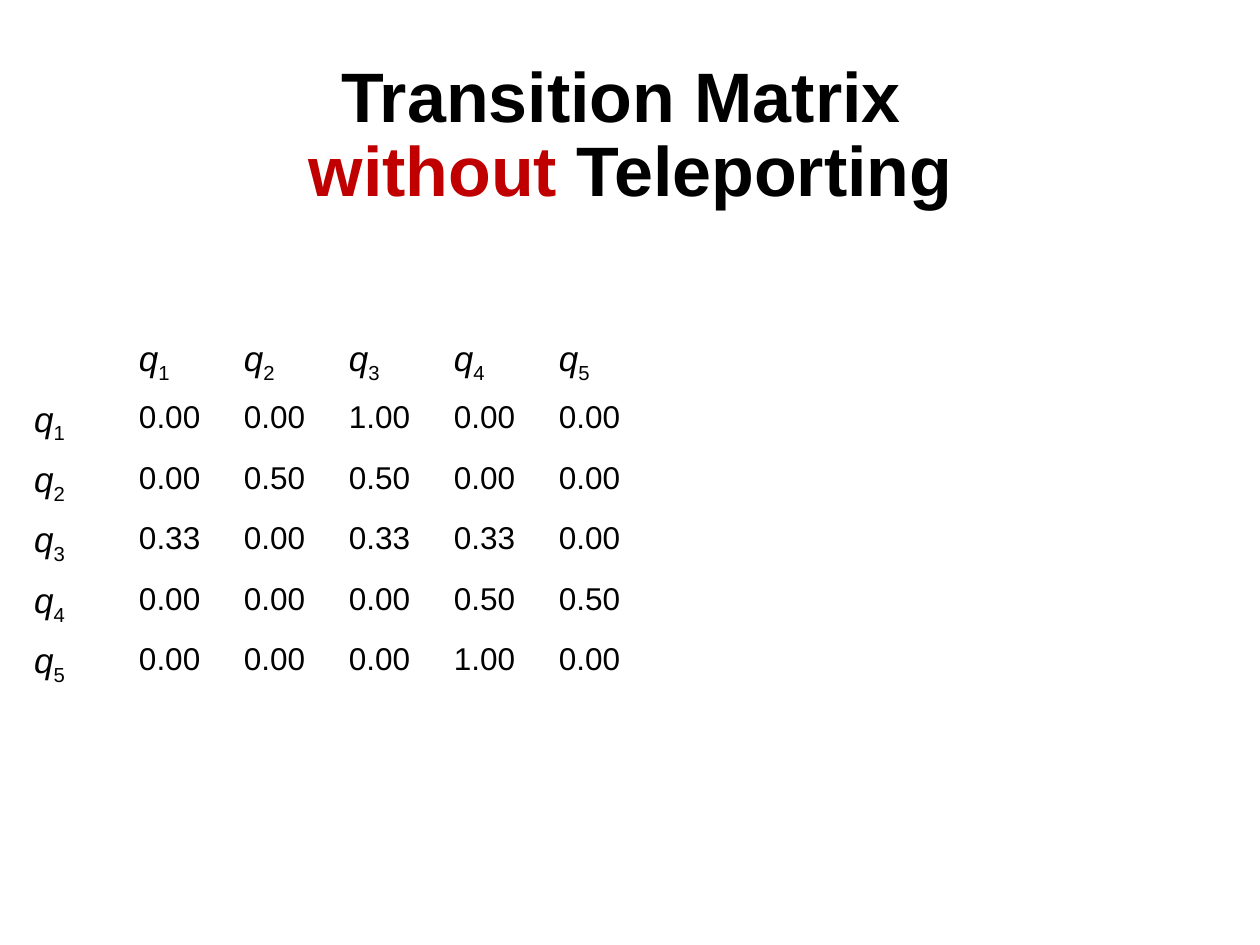
from lxml.etree import SubElement
from pptx import Presentation
from pptx.dml.color import RGBColor
from pptx.enum.text import MSO_ANCHOR, PP_ALIGN
from pptx.oxml.ns import qn
from pptx.util import Inches, Pt

BLACK = RGBColor(0x00, 0x00, 0x00)
RED = RGBColor(0xC0, 0x00, 0x00)
WHITE = RGBColor(0xFF, 0xFF, 0xFF)
PLAIN_TABLE = "{2D5ABB26-0587-4C30-8999-92F81FD0307C}"

TRANSITIONS = [
    [0, 0, 1, 0, 0],
    [0, 0.5, 0.5, 0, 0],
    [0.33, 0, 0.33, 0.33, 0],
    [0, 0, 0, 0.5, 0.5],
    [0, 0, 0, 1, 0],
]


class MatrixSlide:
    font = "Arial"
    title_size, label_size, value_size = 40, 20, 18

    def __init__(self, deck):
        self.width, self.height = deck.slide_width, deck.slide_height
        self.slide = deck.slides.add_slide(deck.slide_layouts[6])

    def box(self, left, top, width, height):
        """Turn shares of the slide into lengths."""
        return (int(left * self.width), int(top * self.height),
                int(width * self.width), int(height * self.height))

    def run(self, paragraph, text, size, color=BLACK, bold=False, italic=False):
        run = paragraph.add_run()
        run.text = text
        font = run.font
        font.name, font.size = self.font, Pt(size)
        font.bold, font.italic = bold, italic
        font.color.rgb = color
        return run

    def title(self, lines, *share):
        """Each line is a list of (text, colour) pairs."""
        frame = self.slide.shapes.add_textbox(*self.box(*share)).text_frame
        frame.word_wrap = True
        frame.vertical_anchor = MSO_ANCHOR.TOP
        frame.margin_left = frame.margin_right = 0
        frame.margin_top = frame.margin_bottom = 0
        heading = frame.paragraphs[0]
        heading.alignment = PP_ALIGN.CENTER
        heading.line_spacing = 0.88
        for number, line in enumerate(lines):
            if number:
                heading.add_line_break()
            for text, color in line:
                self.run(heading, text, self.title_size, color, bold=True)

    def state(self, cell, number):
        """A state name: italic q with a lowered index."""
        label = cell.text_frame.paragraphs[0]
        self.run(label, "q", self.label_size, italic=True)
        index = self.run(label, str(number), self.label_size)
        index.font._element.set("baseline", "-25000")

    def rule(self, cell, side):
        line = SubElement(cell._tc.get_or_add_tcPr(), qn(f"a:{side}"), w=str(Pt(1)))
        SubElement(SubElement(line, qn("a:solidFill")), qn("a:srgbClr"), val=str(WHITE))

    def band(self, cell):
        cell.fill.solid()
        cell.fill.fore_color.rgb = WHITE
        color = cell._tc.tcPr.find(f"{qn('a:solidFill')}/{qn('a:srgbClr')}")
        SubElement(color, qn("a:alpha"), val="20000")

    def matrix(self, values, *share):
        size = len(values) + 1
        table = self.slide.shapes.add_table(size, size, *self.box(*share)).table
        table.first_row = table.horz_banding = False
        table._tbl.tblPr.find(qn("a:tableStyleId")).text = PLAIN_TABLE
        for row in range(size):
            table.rows[row].height = Inches(0.41)
            for column in range(size):
                cell = table.cell(row, column)
                # Rules above and below the header, and under the last row
                if row == 0:
                    self.rule(cell, "lnT")
                if row in (0, size - 1):
                    self.rule(cell, "lnB")
                # Bands on odd rows
                if row % 2:
                    self.band(cell)
                else:
                    cell.fill.background()
                # State names on the edges, probabilities inside
                if row and column:
                    value = f"{values[row - 1][column - 1]:.2f}"
                    self.run(cell.text_frame.paragraphs[0], value, self.value_size)
                elif row or column:
                    self.state(cell, row or column)


def main():
    deck = Presentation()
    deck.slide_width, deck.slide_height = Inches(10), Inches(7.5)
    page = MatrixSlide(deck)

    # Heading
    page.title([[("Transition Matrix ", BLACK)],
                [("without", RED), (" Teleporting", BLACK)]],
               0.052, 0.067, 0.897, 0.144)

    # Transition probabilities between the states
    page.matrix(TRANSITIONS, 0.017, 0.353, 0.5, 0.347)

    deck.save("out.pptx")


if __name__ == "__main__":
    main()
